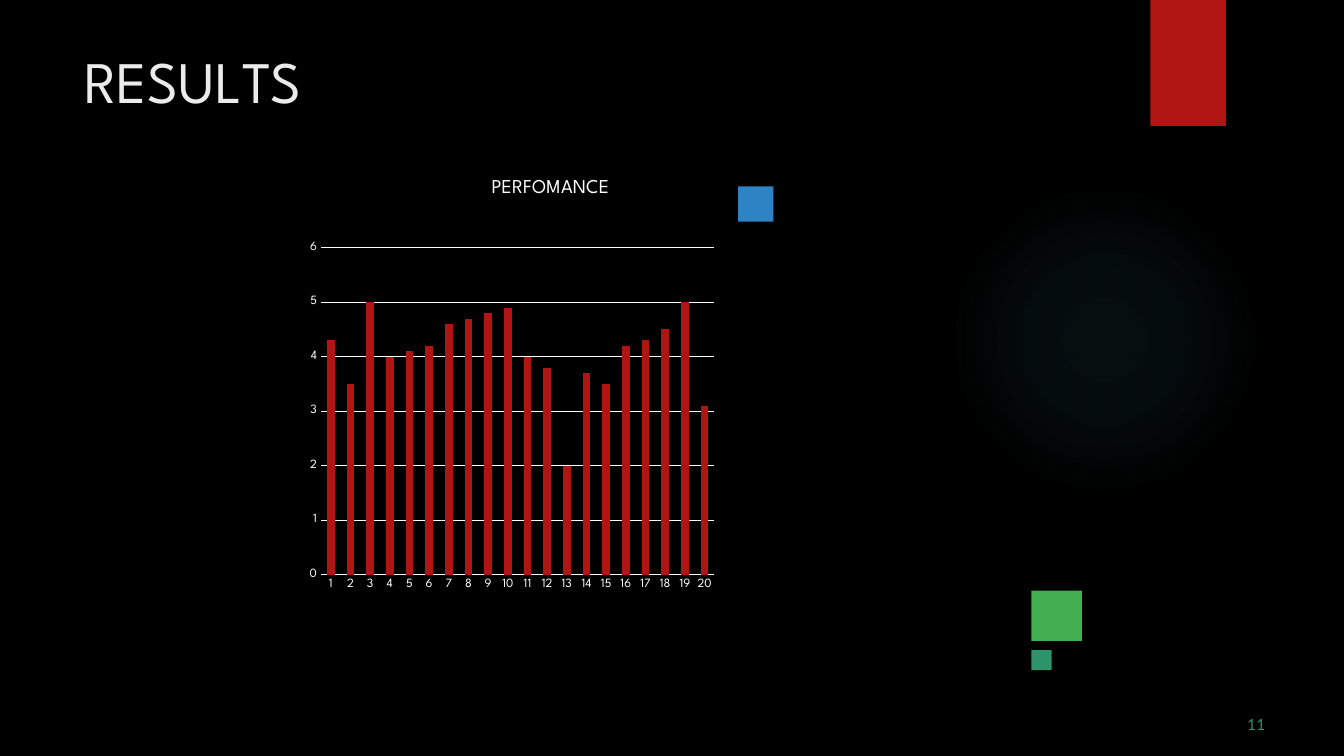
"""Build the results slide with a column chart of twenty values."""
from pptx import Presentation
from pptx.chart.data import CategoryChartData
from pptx.dml.color import RGBColor
from pptx.enum.chart import XL_CHART_TYPE as CHART, XL_TICK_MARK as TICK
from pptx.enum.shapes import MSO_SHAPE as SHAPE
from pptx.oxml import parse_xml
from pptx.oxml.ns import nsdecls, qn
from pptx.util import Inches, Pt

COLORS = {
    "black": "000000", "white": "FFFFFF", "title": "EBEBEB", "glow": "50B9C1",
    "red": "B01513", "green": "42AF51", "blue": "2D83C3", "teal": "2D936B",
}
FONT = "League Spartan"
TITLE_RUNS = [("R", 0), ("E", -0.4), ("S", 0.1), ("U", -0.3), ("L", -4), ("TS", 0)]
PAGE_RUNS = [("11", 0.1)]
BLOCKS = [
    ("red", 11.41, 0, 0.75, 1.25),
    ("green", 10.23, 5.86, 0.5, 0.5),
    ("blue", 7.32, 1.85, 0.35, 0.35),
    ("teal", 10.23, 6.45, 0.2, 0.2),
]
GLOW_BOX = (9.41, 1.83, 3.08, 3.08)
GLOW_STOPS = [(0, 7), (36, 6), (69, 0)]
CHART_BOX = (2.75, 1.58, 5.42, 4.5)
CHART_TITLE = "PERFOMANCE"
PLOT = {"x": 0.08, "y": 0.195, "w": 0.72, "h": 0.721}
VALUES = [4.3, 3.5, 5, 4, 4.1, 4.2, 4.6, 4.7, 4.8, 4.9,
          4, 3.8, 2, 3.7, 3.5, 4.2, 4.3, 4.5, 5, 3.1]


def rgb(name):
    return RGBColor.from_string(COLORS[name])


def set_font(font, size, color="white", name=FONT):
    font.size, font.name, font.bold = Pt(size), name, False
    font.color.rgb = rgb(color)


def add_shape(slide, kind, box, color):
    s = slide.shapes.add_shape(kind, *map(Inches, box))
    s.shadow.inherit = False
    s.fill.solid()
    s.fill.fore_color.rgb = rgb(color)
    s.line.fill.background()
    return s


def add_text(slide, runs, box, size, color, font=FONT, indent=0.0, before=0.0):
    tf = slide.shapes.add_textbox(*map(Inches, box)).text_frame
    tf.word_wrap = True
    tf.margin_left = tf.margin_right = tf.margin_bottom = 0
    tf.margin_top = Inches(0.01) + Pt(before)
    p = tf.paragraphs[0]
    p._p.get_or_add_pPr().set("marL", str(Inches(indent)))
    for text, spacing in runs:
        r = p.add_run()
        r.text = text
        set_font(r.font, size, color, font)
        r._r.get_or_add_rPr().set("spc", str(round(spacing * 100)))


def add_glow(slide):
    s = add_shape(slide, SHAPE.OVAL, GLOW_BOX, "glow")
    stops = "".join(
        f'<a:gs pos="{pos * 1000}"><a:srgbClr val="{COLORS["glow"]}">'
        f'<a:alpha val="{alpha * 1000}"/></a:srgbClr></a:gs>'
        for pos, alpha in GLOW_STOPS)
    grad = parse_xml(
        f'<a:gradFill {nsdecls("a")}><a:gsLst>{stops}</a:gsLst><a:path path="circle">'
        '<a:fillToRect l="50000" t="50000" r="50000" b="50000"/></a:path></a:gradFill>')
    sp_pr = s._element.spPr
    sp_pr.replace(sp_pr.find(qn("a:solidFill")), grad)


def place_plot(chart):
    modes = "".join(f'<c:{k}Mode val="edge"/>' for k in "xy")
    sizes = "".join(f'<c:{k} val="{v}"/>' for k, v in PLOT.items())
    area = chart._chartSpace.chart.plotArea
    for old in area.findall(qn("c:layout")):
        area.remove(old)
    area.insert(0, parse_xml(
        f'<c:layout {nsdecls("c")}><c:manualLayout><c:layoutTarget val="inner"/>'
        f'{modes}{sizes}</c:manualLayout></c:layout>'))


def add_results_chart(slide):
    data = CategoryChartData()
    data.categories = [str(i) for i in range(1, len(VALUES) + 1)]
    data.add_series(CHART_TITLE, VALUES)
    chart = slide.shapes.add_chart(
        CHART.COLUMN_CLUSTERED, *map(Inches, CHART_BOX), data).chart
    set_font(chart.font, 10)
    chart.has_legend = False
    chart.has_title = True
    p = chart.chart_title.text_frame.paragraphs[0]
    r = p.add_run()
    r.text = CHART_TITLE
    set_font(r.font, 14)
    chart.chart_title.include_in_layout = False

    for axis in (chart.category_axis, chart.value_axis):
        axis.major_tick_mark = axis.minor_tick_mark = TICK.NONE
        axis.format.line.fill.background()
        set_font(axis.tick_labels.font, 9)
    values = chart.value_axis
    values.minimum_scale, values.maximum_scale, values.major_unit = 0, 6, 1
    values.has_major_gridlines = True
    grid = values.major_gridlines.format.line
    grid.color.rgb = rgb("white")
    grid.width = Pt(0.75)

    plot = chart.plots[0]
    plot.vary_by_categories = False
    plot.gap_width = 150
    fill = plot.series[0].format.fill
    fill.solid()
    fill.fore_color.rgb = rgb("red")
    place_plot(chart)


def main():
    prs = Presentation()
    prs.slide_width, prs.slide_height = Inches(13.33), Inches(7.5)
    slide = prs.slides.add_slide(prs.slide_layouts[6])
    slide.background.fill.solid()
    slide.background.fill.fore_color.rgb = rgb("black")
    add_glow(slide)
    for color, *box in BLOCKS:
        add_shape(slide, SHAPE.RECTANGLE, box, color)
    add_text(slide, TITLE_RUNS, (0.83, 0.42, 2.67, 0.83), 42, "title",
             indent=0.01, before=1.1)
    add_text(slide, PAGE_RUNS, (12.33, 7.08, 0.25, 0.21), 11, "teal",
             font="Lato", indent=0.04, before=0.6)
    add_results_chart(slide)
    prs.save("out.pptx")


if __name__ == "__main__":
    main()
